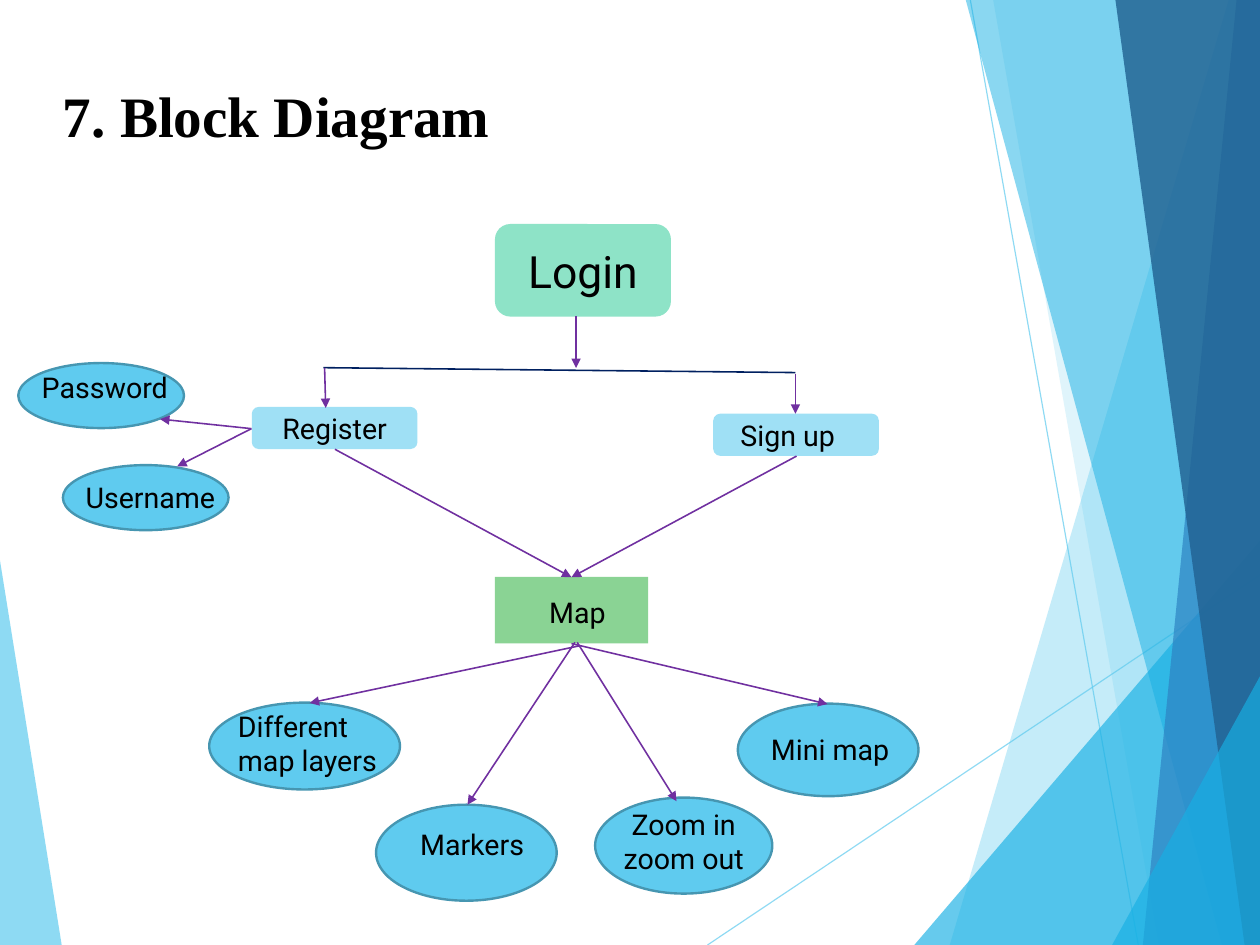
from pptx import Presentation
from pptx.dml.color import RGBColor
from pptx.enum.shapes import MSO_CONNECTOR, MSO_SHAPE
from pptx.enum.text import MSO_ANCHOR, PP_ALIGN
from pptx.oxml.ns import qn
from pptx.util import Pt
from lxml.etree import SubElement

COLORS = {
    "sky": "5FCBEF", "cyan": "17B0E4", "blue": "2E83C3", "deep": "226292",
    "mint": "8EE3C7", "pale": "9FE0F5", "green": "8AD394", "rim": "4696B1",
    "purple": "7030A0", "navy": "002060", "black": "000000",
}
WIDTH, HEIGHT = 793.75, 595.25

presentation = Presentation()
presentation.slide_width, presentation.slide_height = Pt(WIDTH), Pt(HEIGHT)
slide = presentation.slides.add_slide(presentation.slide_layouts[5])
shapes = slide.shapes


def add_line(start, end, color, width=1.0, alpha=100, arrow=False):
    """Draw a straight line between two points, with an optional arrowhead."""
    line = shapes.add_connector(MSO_CONNECTOR.STRAIGHT, *map(Pt, start + end))
    line.line.width = Pt(width)
    line.line.color.rgb = RGBColor.from_string(COLORS[color])
    properties = line._element.spPr
    outline = properties.find(qn("a:ln"))
    if alpha < 100:
        SubElement(next(outline.iter(qn("a:srgbClr"))), qn("a:alpha"), val=str(alpha * 1000))
    if arrow:
        SubElement(outline, qn("a:tailEnd"), type="triangle")
    SubElement(properties, qn("a:effectLst"))


def write_text(shape, text, size=18, font="Roboto", align=PP_ALIGN.LEFT, bold=False):
    """Put one formatted paragraph of black text into a shape."""
    frame = shape.text_frame
    frame.text = text
    frame.word_wrap = True
    paragraph = frame.paragraphs[0]
    paragraph.alignment = align
    for run in paragraph.runs:
        run.font.size, run.font.name, run.font.bold = Pt(size), font, bold
        run.font.color.rgb = RGBColor.from_string(COLORS["black"])


# Background facets: fill, opacity in percent, corner points
add_line((445.7, HEIGHT), (WIDTH, 362.2), "sky", 0.75, 70)
add_line((611.3, 0), (717.1, HEIGHT), "sky", 0.75, 70)
facets = [
    ("sky", 70, [(0, 353), (38.9, HEIGHT), (0, HEIGHT)]),
    ("sky", 36, [(774, 0), (598.3, HEIGHT), (WIDTH, HEIGHT), (WIDTH, 0)]),
    ("sky", 20, [(625.7, 0), (730.1, HEIGHT), (WIDTH, HEIGHT), (WIDTH, 0)]),
    ("cyan", 66, [(576, HEIGHT), (WIDTH, 340.6), (WIDTH, HEIGHT)]),
    ("cyan", 50, [(608.4, 0), (769.7, HEIGHT), (WIDTH, HEIGHT), (WIDTH, 0)]),
    ("blue", 70, [(779, 0), (720, HEIGHT), (WIDTH, HEIGHT), (WIDTH, 0)]),
    ("deep", 82, [(702.7, 0), (784.1, HEIGHT), (WIDTH, HEIGHT), (WIDTH, 0)]),
    ("cyan", 66, [(700.6, HEIGHT), (WIDTH, 426), (WIDTH, HEIGHT)]),
]
for color, alpha, corners in facets:
    points = [(Pt(x), Pt(y)) for x, y in corners]
    builder = shapes.build_freeform(*points[0])
    builder.add_line_segments(points[1:], close=True)
    facet = builder.convert_to_shape()
    facet.shadow.inherit = False
    facet.fill.solid()
    facet.fill.fore_color.rgb = RGBColor.from_string(COLORS[color])
    facet.line.fill.background()
    fill_color = next(facet._element.spPr.iter(qn("a:srgbClr")))
    SubElement(fill_color, qn("a:alpha"), val=str(alpha * 1000))

# Title
title = shapes.title
title.left, title.top, title.width, title.height = map(Pt, (39.6, 23.8, 714.2, 99.4))
write_text(title, "7. Block Diagram", 36, "Times New Roman", bold=True)
title_frame = title.text_frame
title_frame.vertical_anchor = MSO_ANCHOR.MIDDLE
title_frame.margin_left = title_frame.margin_right = title_frame.margin_bottom = 0
title_frame.margin_top = Pt(2.2)
title_frame.paragraphs[0].line_spacing = 0.93

# Nodes: preset, fill, box, centred text, text size
ROUNDED, OVAL = MSO_SHAPE.ROUNDED_RECTANGLE, MSO_SHAPE.OVAL
nodes = [
    (ROUNDED, "mint", (311.8, 141.1, 110.9, 58.3), "Login", 28),
    (ROUNDED, "pale", (449.3, 260.6, 104.4, 26.6), "", 18),
    (ROUNDED, "pale", (158.6, 256.3, 104.4, 26.6), "Register", 18),
    (MSO_SHAPE.RECTANGLE, "green", (311.8, 363.4, 96.5, 41.8), "", 18),
    (OVAL, "sky", (131.8, 442.6, 120.2, 54.7), "", 18),
    (OVAL, "sky", (236.9, 506.9, 113.8, 60.5), "", 18),
    (OVAL, "sky", (374.9, 502.4, 111.6, 60.5), "", 18),
    (OVAL, "sky", (464.8, 443.2, 113.8, 58.3), "", 18),
    (OVAL, "sky", (39.6, 293, 104.4, 41), "", 18),
    (OVAL, "sky", (11.5, 228.7, 104.4, 41), "", 18),
]
for preset, color, box, text, size in nodes:
    node = shapes.add_shape(preset, *map(Pt, box))
    node.shadow.inherit = False
    node.fill.solid()
    node.fill.fore_color.rgb = RGBColor.from_string(COLORS[color])
    if preset == OVAL:
        node.line.color.rgb = RGBColor.from_string(COLORS["rim"])
        node.line.width = Pt(1.5)
    else:
        node.line.fill.background()
    if text:
        write_text(node, text, size, align=PP_ALIGN.CENTER)
        node.text_frame.vertical_anchor = MSO_ANCHOR.MIDDLE

# Labels set over the nodes
labels = [
    ("Sign up", (459.4, 259.6, 105.8, 28.8), PP_ALIGN.LEFT),
    ("Map", (338.9, 371.5, 74.9, 28.8), PP_ALIGN.LEFT),
    ("Different map layers", (142.8, 442.8, 104.4, 51.1), PP_ALIGN.LEFT),
    ("Markers", (257.6, 517.4, 81.4, 28.8), PP_ALIGN.LEFT),
    ("Zoom in zoom out", (374.9, 504.5, 111.6, 51.1), PP_ALIGN.CENTER),
    ("Mini map", (478.6, 457.6, 96.5, 28.8), PP_ALIGN.LEFT),
    ("Username", (46.8, 298.8, 104.4, 28.8), PP_ALIGN.LEFT),
    ("Password", (19.2, 229.7, 104.4, 28.8), PP_ALIGN.LEFT),
]
for text, box, align in labels:
    write_text(shapes.add_textbox(*map(Pt, box)), text, align=align)

# Flow lines
add_line((501.1, 234.7), (203.8, 231.6), "navy")
arrows = [
    ((362.9, 199.2), (362.9, 231.8)),
    ((501.1, 235.4), (501.1, 260.6)),
    ((204.5, 231.8), (205.2, 257)),
    ((211, 283), (360, 363.6)),
    ((501.8, 287.3), (360, 363.6)),
    ((360, 405.4), (521.3, 443.5)),
    ((363.6, 404.6), (426.2, 504.7)),
    ((362.2, 404.6), (294.5, 506.9)),
    ((365, 406.8), (195.1, 442.8)),
    ((158.4, 270), (111.6, 293.8)),
    ((158.4, 270), (100.8, 264)),
]
for start, end in arrows:
    add_line(start, end, "purple", arrow=True)

presentation.save("out.pptx")
